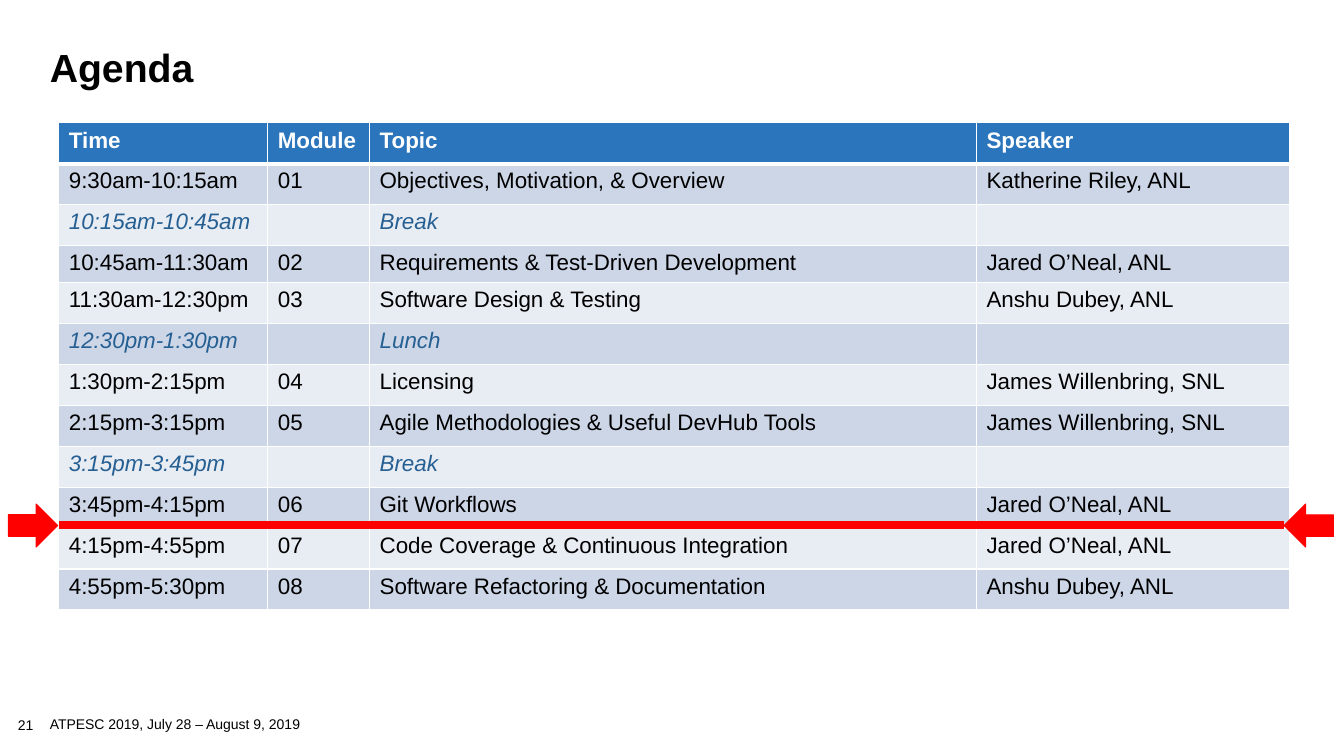
import pptx
import pptx.dml.color
import pptx.enum.shapes
import pptx.enum.text
import pptx.oxml
import pptx.oxml.ns
import pptx.util

PX = 9525
BLACK, WHITE, RED = "000000", "FFFFFF", "FF0000"
HEAD, BREAK, BANDS = "2A75BB", "266093", ("CDD6E7", "E8ECF3")
COLS = (199, 97, 578, 298)
ROW, TIGHT = 39, 25
AGENDA = [
    ("Time", "Module", "Topic", "Speaker"),
    ("9:30am-10:15am", "01", "Objectives, Motivation, & Overview", "Katherine Riley, ANL"),
    ("10:15am-10:45am", "", "Break", ""),
    ("10:45am-11:30am", "02", "Requirements & Test-Driven Development", "Jared O’Neal, ANL"),
    ("11:30am-12:30pm", "03", "Software Design & Testing", "Anshu Dubey, ANL"),
    ("12:30pm-1:30pm", "", "Lunch", ""),
    ("1:30pm-2:15pm", "04", "Licensing", "James Willenbring, SNL"),
    ("2:15pm-3:15pm", "05", "Agile Methodologies & Useful DevHub Tools", "James Willenbring, SNL"),
    ("3:15pm-3:45pm", "", "Break", ""),
    ("3:45pm-4:15pm", "06", "Git Workflows", "Jared O’Neal, ANL"),
    ("4:15pm-4:55pm", "07", "Code Coverage & Continuous Integration", "Jared O’Neal, ANL"),
    ("4:55pm-5:30pm", "08", "Software Refactoring & Documentation", "Anshu Dubey, ANL"),
]


def px(*nums):
    return [pptx.util.Emu(num * PX) for num in nums]


def rgb(code):
    return pptx.dml.color.RGBColor.from_string(code)


def put(item, **vals):
    for name, val in vals.items():
        setattr(item, name, val)


class Deck:
    """Draws styled elements on the current slide."""

    def __init__(self, wide, high, face="Arial"):
        self.file = pptx.Presentation()
        put(self.file, slide_width=wide * PX, slide_height=high * PX)
        self.slide = self.file.slides.add_slide(self.file.slide_layouts[6])
        self.shapes = self.slide.shapes
        self.face = face

    def font(self, para, size, color=BLACK, **vals):
        put(para.font, name=self.face, size=pptx.util.Pt(size), **vals)
        para.font.color.rgb = rgb(color)

    def text(self, words, box, size, space=1.0, frame=None, **vals):
        body = self.shapes.add_textbox(*px(*box)).text_frame
        put(body, word_wrap=True, **(frame or {}))
        para = body.paragraphs[0]
        put(para, text=words, line_spacing=space)
        self.font(para, size, **vals)

    def edge(self, cell, top, base):
        props = cell._tc.get_or_add_tcPr()
        for side, width in zip("LRTB", (1, 1, top, base)):
            props.append(pptx.oxml.parse_xml(
                f'<a:ln{side} {pptx.oxml.ns.nsdecls("a")} w="{width * 12700}">'
                f'<a:solidFill><a:srgbClr val="{WHITE}"/></a:solidFill></a:ln{side}>'))

    def table(self, data, left, top, cols, rows):
        box = px(left, top, sum(cols), sum(rows))
        grid = self.shapes.add_table(len(rows), len(cols), *box).table
        grid.horz_banding = False
        for col, wide in zip(grid.columns, px(*cols)):
            col.width = wide
        for row, high in zip(grid.rows, px(*rows)):
            row.height = high
        for i, line in enumerate(data):
            head, pause = i == 0, not line[1]
            color = WHITE if head else BREAK if pause else BLACK
            for j, words in enumerate(line):
                cell = grid.cell(i, j)
                self.edge(cell, 3 if i == 1 else 1, 3 if head else 1)
                cell.fill.solid()
                cell.fill.fore_color.rgb = rgb(HEAD if head else BANDS[(i - 1) % 2])
                cell.text = words
                self.font(cell.text_frame.paragraphs[0], 16, color, bold=head, italic=pause)

    def group(self):
        self.shapes = self.slide.shapes.add_group_shape().shapes

    def line(self, ends, color, width):
        kind = pptx.enum.shapes.MSO_CONNECTOR.STRAIGHT
        link = self.shapes.add_connector(kind, *px(*ends))
        put(link.line, width=pptx.util.Pt(width))
        link.line.color.rgb = rgb(color)
        pptx.oxml.ns.qn("a:effectLst")
        link._element.spPr.append(
            pptx.oxml.parse_xml(f'<a:effectLst {pptx.oxml.ns.nsdecls("a")}/>'))

    def arrow(self, box, color, turn=0):
        kind = pptx.enum.shapes.MSO_SHAPE.RIGHT_ARROW
        mark = self.shapes.add_shape(kind, *px(*box))
        mark.rotation = turn
        mark.shadow.inherit = False
        mark.fill.solid()
        mark.fill.fore_color.rgb = mark.line.color.rgb = rgb(color)
        mark.line.width = pptx.util.Pt(0.75)


def main():
    deck = Deck(1280, 720)
    bare = dict.fromkeys(("margin_left", "margin_top", "margin_right", "margin_bottom"), 0)
    middle = {"vertical_anchor": pptx.enum.text.MSO_ANCHOR.MIDDLE}
    deck.text("21", (17, 684, 54, 15), 10, 0.9, bare)
    deck.text("ATPESC 2019, July 28 – August 9, 2019", (38, 680, 348, 19), 10, frame=middle)
    deck.text("Agenda", (38, 43, 1194, 96), 28, 0.85, bold=True)
    rows = [TIGHT if i == 3 else ROW for i in range(len(AGENDA))]
    deck.table(AGENDA, 56, 117, COLS, rows)
    deck.group()
    deck.line((56, 500, 1223, 500), RED, 6)
    deck.arrow((8, 480, 47, 41), RED)
    deck.arrow((1223, 480, 47, 41), RED, 180)
    deck.file.save("out.pptx")


if __name__ == "__main__":
    main()
